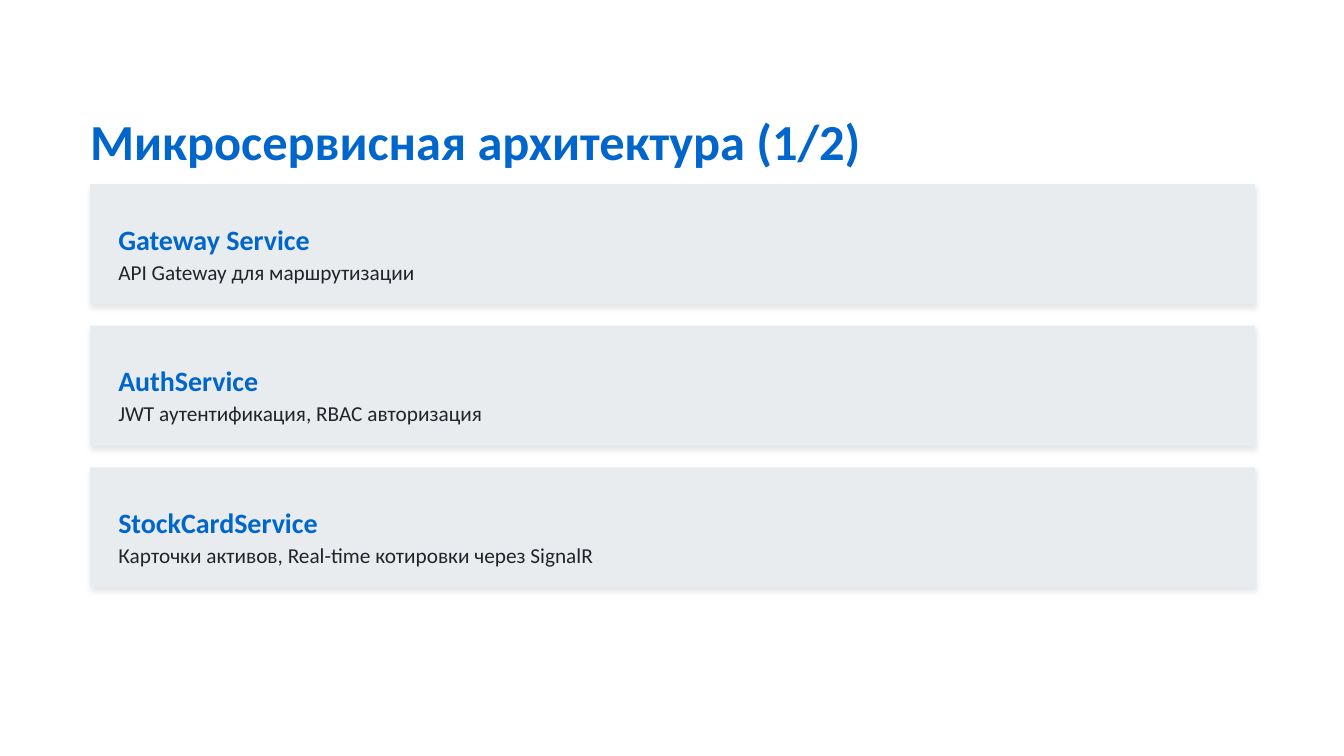
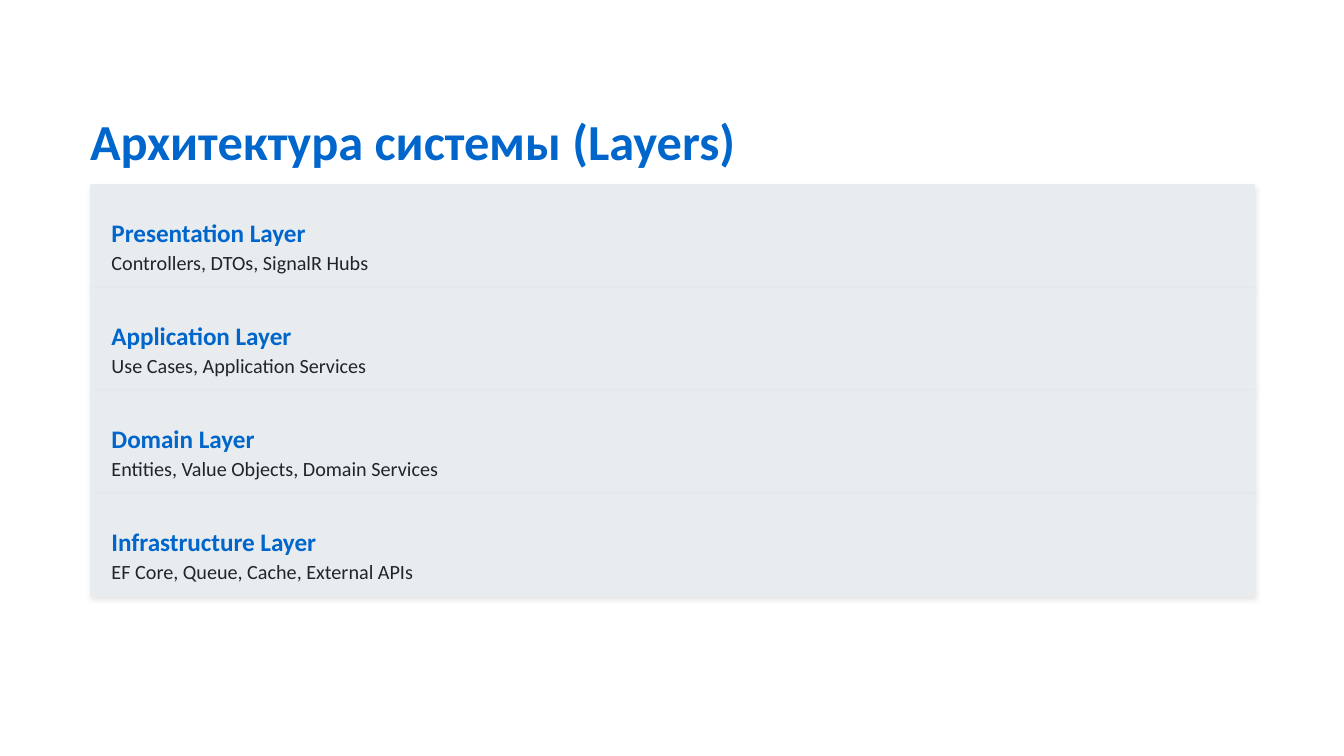
from collections import namedtuple

from lxml.etree import SubElement
from pptx import Presentation
from pptx.dml.color import RGBColor
from pptx.enum.shapes import MSO_SHAPE
from pptx.enum.text import MSO_ANCHOR, MSO_AUTO_SIZE, PP_ALIGN
from pptx.oxml.ns import qn
from pptx.util import Inches, Pt

COLORS = {"accent": "0066CC", "body": "212529", "card": "E9ECEF",
          "shadow": "000000", "background": "FFFFFF"}
FONT = "Calibri"

Box = namedtuple("Box", "left top width height")
TextStyle = namedtuple("TextStyle", "top height size leading")
CardStyle = namedtuple("CardStyle", "gap indent text_width heading detail")

TITLE_BOX = Box(0.67, 0.67, 8.84, 0.45)
SERVICE_BOX = Box(0.67, 1.37, 8.67, 3)
LAYER_BOX = Box(0.67, 1.37, 8.67, 3.07)

SERVICE_STYLE = CardStyle(0.16, 0.21, 8.41,
                          TextStyle(0.2, 0.25, 15, 24),
                          TextStyle(0.45, 0.22, 11.4, 21.3))
LAYER_STYLE = CardStyle(0, 0.16, 8.5,
                        TextStyle(0.17, 0.22, 13.5, 21.6),
                        TextStyle(0.39, 0.21, 10.8, 20.2))

SERVICES = [
    ("Gateway Service", "API Gateway для маршрутизации"),
    ("AuthService", "JWT аутентификация, RBAC авторизация"),
    ("StockCardService", "Карточки активов, Real-time котировки через SignalR"),
]
LAYERS = [
    ("Presentation Layer", "Controllers, DTOs, SignalR Hubs"),
    ("Application Layer", "Use Cases, Application Services"),
    ("Domain Layer", "Entities, Value Objects, Domain Services"),
    ("Infrastructure Layer", "EF Core, Queue, Cache, External APIs"),
]


def rgb(name):
    return RGBColor.from_string(COLORS[name])


def lengths(box):
    return [Inches(value) for value in box]


def write_text(shape, text, *, size, leading, color="body", bold=False):
    frame = shape.text_frame
    frame.word_wrap = True
    frame.auto_size = MSO_AUTO_SIZE.NONE
    frame.vertical_anchor = MSO_ANCHOR.TOP
    frame.margin_left = frame.margin_right = 0
    frame.margin_top = frame.margin_bottom = 0
    para = frame.paragraphs[0]
    para.alignment = PP_ALIGN.LEFT
    para.line_spacing = Pt(leading)
    span = para.add_run()
    span.text = text
    span.font.name = FONT
    span.font.size = Pt(size)
    span.font.bold = bold
    span.font.color.rgb = rgb(color)


def add_soft_shadow(shape):
    shape.shadow.inherit = False
    effects = shape.element.spPr.find(qn("a:effectLst"))
    shadow = SubElement(effects, qn("a:outerShdw"), blurRad=str(Pt(3)),
                        dist=str(Pt(1.5)), dir="5400000",
                        algn="bl", rotWithShape="0")
    color = SubElement(shadow, qn("a:srgbClr"), val=COLORS["shadow"])
    SubElement(color, qn("a:alpha"), val="10000")


def add_card(slide, box, heading, detail, style):
    card = slide.shapes.add_shape(MSO_SHAPE.RECTANGLE, *lengths(box))
    card.fill.solid()
    card.fill.fore_color.rgb = rgb("card")
    card.line.fill.background()
    add_soft_shadow(card)
    for text, line, color, bold in (
            (heading, style.heading, "accent", True),
            (detail, style.detail, "body", False)):
        place = Box(box.left + style.indent, box.top + line.top,
                    style.text_width, line.height)
        label = slide.shapes.add_textbox(*lengths(place))
        write_text(label, text, size=line.size, leading=line.leading,
                   color=color, bold=bold)


def add_card_stack(slide, box, entries, style):
    pitch = (box.height + style.gap) / len(entries)
    for index, (heading, detail) in enumerate(entries):
        card_box = Box(box.left, box.top + index * pitch,
                       box.width, pitch - style.gap)
        add_card(slide, card_box, heading, detail, style)


def add_title(slide, box, text):
    title = slide.shapes.title
    title.left, title.top, title.width, title.height = lengths(box)
    write_text(title, text, size=27, leading=43.2, color="accent", bold=True)


def add_stack_slide(deck, title, box, entries, style):
    slide = deck.slides.add_slide(deck.slide_layouts.get_by_name("Title Only"))
    slide.background.fill.solid()
    slide.background.fill.fore_color.rgb = rgb("background")
    add_title(slide, TITLE_BOX, title)
    add_card_stack(slide, box, entries, style)


def main():
    deck = Presentation()
    deck.slide_width = Inches(10)
    deck.slide_height = deck.slide_width * 9 // 16
    add_stack_slide(deck, "Микросервисная архитектура (1/2)",
                    SERVICE_BOX, SERVICES, SERVICE_STYLE)
    add_stack_slide(deck, "Архитектура системы (Layers)",
                    LAYER_BOX, LAYERS, LAYER_STYLE)
    deck.save("out.pptx")


if __name__ == "__main__":
    main()
